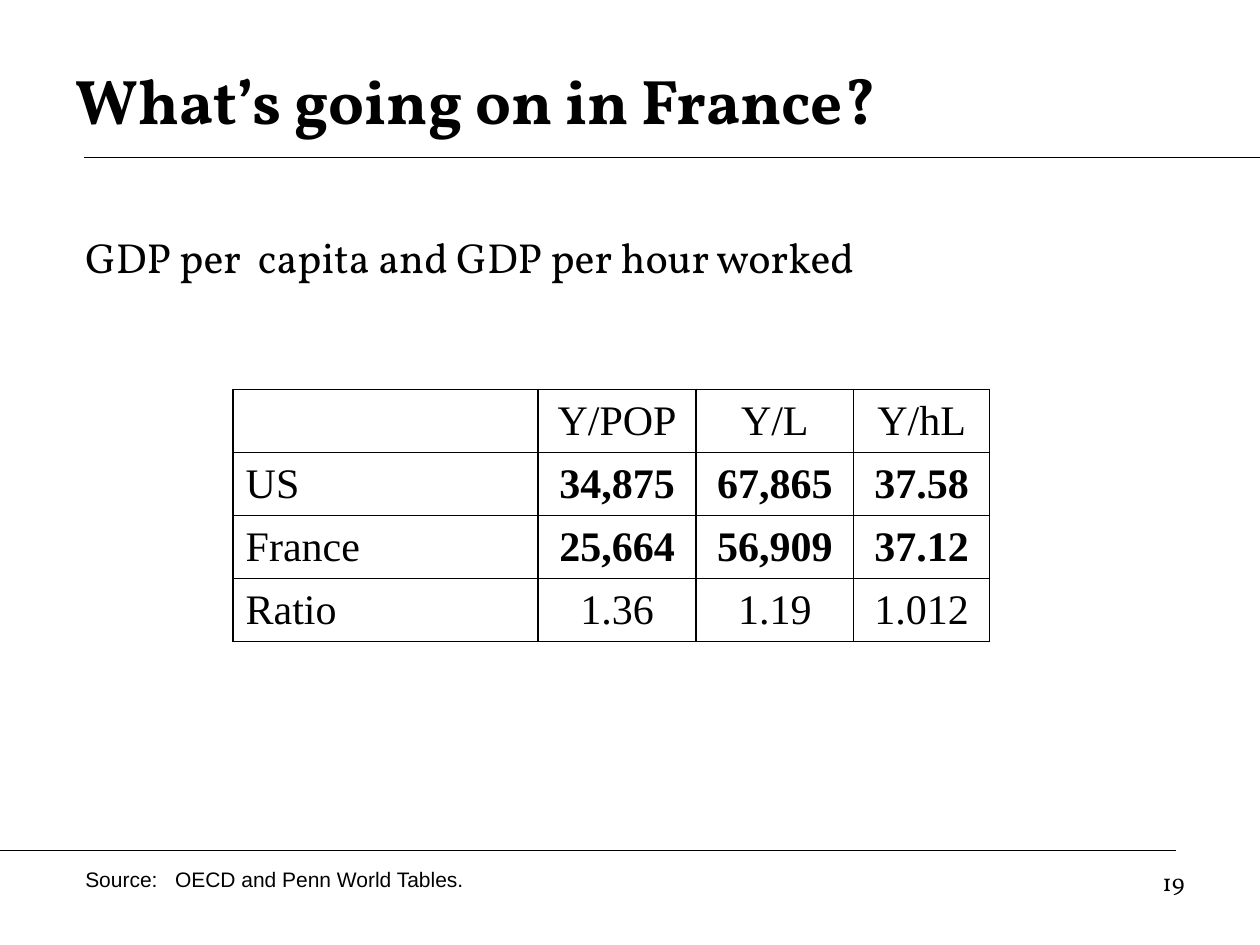
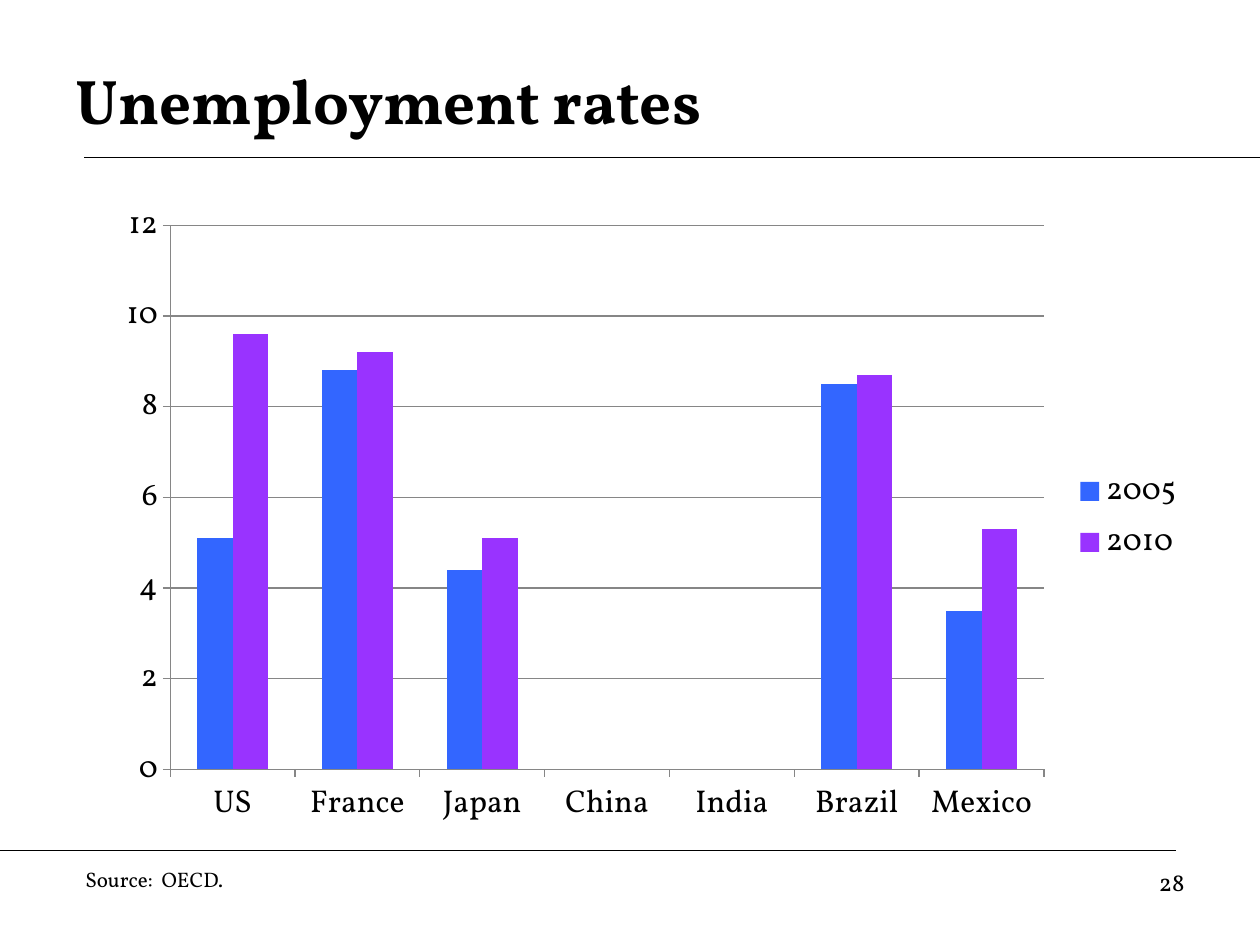
"""Build two economics slides: a productivity table and an unemployment chart."""
from dataclasses import dataclass
from typing import NamedTuple

from lxml.etree import SubElement
from pptx import Presentation
from pptx.chart.data import CategoryChartData
from pptx.dml.color import RGBColor
from pptx.enum.chart import XL_CHART_TYPE, XL_LEGEND_POSITION, XL_TICK_MARK
from pptx.enum.shapes import MSO_CONNECTOR
from pptx.enum.text import MSO_ANCHOR, PP_ALIGN
from pptx.oxml import parse_xml
from pptx.oxml.ns import nsdecls, qn
from pptx.util import Cm, Pt


@dataclass(frozen=True)
class Theme:
    ink: RGBColor = RGBColor(0, 0, 0)
    grid: RGBColor = RGBColor(0x86, 0x86, 0x86)
    first_series: RGBColor = RGBColor(0x33, 0x66, 0xFF)
    second_series: RGBColor = RGBColor(0x99, 0x33, 0xFF)
    serif: str = "Vollkorn"
    sans: str = "Arial"
    table_font: str = "Times New Roman"
    title: int = 36
    body: int = 24
    chart: int = 18
    page_number: int = 14
    source: int = 12
    rule: float = 0.75
    border: float = 1


class Frame(NamedTuple):
    left: float
    top: float
    width: float
    height: float

    def lengths(self) -> list:
        return [Cm(value) for value in self]


class Rule(NamedTuple):
    start: float
    end: float
    height: float


class Style(NamedTuple):
    font: str
    size: int
    bold: bool = False
    align: PP_ALIGN = PP_ALIGN.LEFT
    anchor: MSO_ANCHOR = MSO_ANCHOR.TOP


class Source(NamedTuple):
    text: str
    font: str
    tab: float


class Series(NamedTuple):
    name: str
    values: tuple
    color: RGBColor


THEME = Theme()
WIDTH, HEIGHT = 25.4, 19.05
RULES = (Rule(1.7, WIDTH, 3.18), Rule(0, 23.7, 17.15))
TITLE_FRAME = Frame(1.27, 0.84, 22.86, 2.34)
SOURCE_FRAME = Frame(1.47, 17.35, 12.27, 0.76)
NUMBER_FRAME = Frame(18.21, 17.35, 5.92, 1.32)
TITLE_STYLE = Style(THEME.serif, THEME.title, True, anchor=MSO_ANCHOR.MIDDLE)
NUMBER_STYLE = Style(THEME.serif, THEME.page_number, align=PP_ALIGN.RIGHT)

PRODUCTIVITY = (
    ("", "Y/POP", "Y/L", "Y/hL"),
    ("US", "34,875", "67,865", "37.58"),
    ("France", "25,664", "56,909", "37.12"),
    ("Ratio", "1.36", "1.19", "1.012"),
)
BOLD_ROWS = ("US", "France")
COLUMN_WIDTHS = (6.15, 3.18, 3.18, 2.74)
ROW_HEIGHT = 1.27

COUNTRIES = ("US", "France", "Japan", "China", "India", "Brazil", "Mexico")
UNEMPLOYMENT = (
    Series("2005", (5.1, 8.8, 4.4, None, None, 8.5, 3.5), THEME.first_series),
    Series("2010", (9.6, 9.2, 5.1, None, None, 8.7, 5.3), THEME.second_series),
)
PLOT_LAYOUT = {"x": 0.06, "y": 0.05, "w": 0.8, "h": 0.84}


def set_font(font, name: str, size: int, bold: bool = False) -> None:
    font.name = name
    font.size = Pt(size)
    font.bold = bold
    font.color.rgb = THEME.ink


def add_text(page, frame: Frame, text: str, style: Style, tab: float = 0) -> None:
    box = page.shapes.add_textbox(*frame.lengths())
    box.text_frame.word_wrap = True
    box.text_frame.vertical_anchor = style.anchor
    para = box.text_frame.paragraphs[0]
    para.text = text
    para.alignment = style.align
    if tab:
        tabs = SubElement(para._p.get_or_add_pPr(), qn("a:tabLst"))
        SubElement(tabs, qn("a:tab"), pos=str(Cm(tab)), algn="l")
    set_font(para.font, style.font, style.size, style.bold)


def add_rule(page, rule: Rule) -> None:
    line = page.shapes.add_connector(
        MSO_CONNECTOR.STRAIGHT,
        Cm(rule.start), Cm(rule.height), Cm(rule.end), Cm(rule.height),
    )
    line.line.color.rgb = THEME.ink
    line.line.width = Pt(THEME.rule)
    SubElement(line._element.spPr, qn("a:effectLst"))


def add_page(deck, title: str, number: int, source: Source):
    page = deck.slides.add_slide(deck.slide_layouts[6])
    for rule in RULES:
        add_rule(page, rule)
    add_text(page, TITLE_FRAME, title, TITLE_STYLE)
    add_text(page, NUMBER_FRAME, str(number), NUMBER_STYLE)
    add_text(page, SOURCE_FRAME, source.text, Style(source.font, THEME.source), source.tab)
    return page


def add_borders(cell) -> None:
    properties = cell._tc.get_or_add_tcPr()
    for position, side in enumerate(("lnL", "lnR", "lnT", "lnB")):
        properties.insert(position, parse_xml(
            f'<a:{side} {nsdecls("a")} w="{Pt(THEME.border)}"><a:solidFill>'
            f'<a:srgbClr val="{THEME.ink}"/></a:solidFill></a:{side}>'
        ))


def add_productivity_table(page, left: float, top: float) -> None:
    frame = Frame(left, top, sum(COLUMN_WIDTHS), ROW_HEIGHT * len(PRODUCTIVITY))
    table = page.shapes.add_table(
        len(PRODUCTIVITY), len(COLUMN_WIDTHS), *frame.lengths()
    ).table
    table.first_row = table.horz_banding = False
    for column, width in zip(table.columns, COLUMN_WIDTHS):
        column.width = Cm(width)
    for row_index, row in enumerate(PRODUCTIVITY):
        for column_index, text in enumerate(row):
            cell = table.cell(row_index, column_index)
            cell.fill.background()
            add_borders(cell)
            cell.vertical_anchor = MSO_ANCHOR.MIDDLE
            para = cell.text_frame.paragraphs[0]
            para.text = text
            para.alignment = PP_ALIGN.CENTER if column_index else PP_ALIGN.LEFT
            bold = column_index > 0 and row[0] in BOLD_ROWS
            set_font(para.font, THEME.table_font, THEME.body, bold)


def set_plot_layout(chart) -> None:
    plot_area = chart._chartSpace.chart.plotArea
    for layout in plot_area.findall(qn("c:layout")):
        plot_area.remove(layout)
    layout = parse_xml(f'<c:layout {nsdecls("c")}/>')
    manual = SubElement(layout, qn("c:manualLayout"))
    SubElement(manual, qn("c:layoutTarget"), val="inner")
    for name in ("xMode", "yMode"):
        SubElement(manual, qn(f"c:{name}"), val="edge")
    for name, share in PLOT_LAYOUT.items():
        SubElement(manual, qn(f"c:{name}"), val=str(share))
    plot_area.insert(0, layout)


def add_unemployment_chart(page, frame: Frame) -> None:
    data = CategoryChartData()
    data.categories = COUNTRIES
    for series in UNEMPLOYMENT:
        data.add_series(series.name, series.values)
    chart = page.shapes.add_chart(
        XL_CHART_TYPE.COLUMN_CLUSTERED, *frame.lengths(), data
    ).chart
    set_font(chart.font, THEME.serif, THEME.chart)
    chart.has_title = False
    chart.has_legend = True
    chart.legend.position = XL_LEGEND_POSITION.RIGHT
    chart.legend.include_in_layout = False
    plot = chart.plots[0]
    plot.gap_width = 150
    plot.overlap = 0
    plot.vary_by_categories = False
    for column, series in zip(plot.series, UNEMPLOYMENT):
        column.format.fill.solid()
        column.format.fill.fore_color.rgb = series.color
        column.invert_if_negative = False
    values = chart.value_axis
    values.minimum_scale, values.maximum_scale, values.major_unit = 0, 12, 2
    values.has_major_gridlines = True
    for axis in (chart.category_axis, values):
        axis.major_tick_mark = XL_TICK_MARK.OUTSIDE
        axis.minor_tick_mark = XL_TICK_MARK.NONE
    for part in (chart.category_axis, values, values.major_gridlines):
        part.format.line.color.rgb = THEME.grid
        part.format.line.width = Pt(THEME.rule)
    set_plot_layout(chart)


def main() -> None:
    deck = Presentation()
    deck.slide_width, deck.slide_height = Cm(WIDTH), Cm(HEIGHT)

    france = add_page(
        deck, "What’s going on in France?", 19,
        Source("Source:\tOECD and Penn World Tables.", THEME.sans, 1.81),
    )
    add_productivity_table(france, 4.7, 7.85)
    add_text(
        france, Frame(1.47, 4.55, 21.8, 1.27),
        "GDP per  capita and GDP per hour worked", Style(THEME.serif, THEME.body),
    )

    unemployment = add_page(
        deck, "Unemployment rates", 28,
        Source("Source:\tOECD.", THEME.serif, 1.54),
    )
    add_unemployment_chart(unemployment, Frame(2.11, 3.89, 22.02, 13.06))

    deck.save("out.pptx")


if __name__ == "__main__":
    main()
